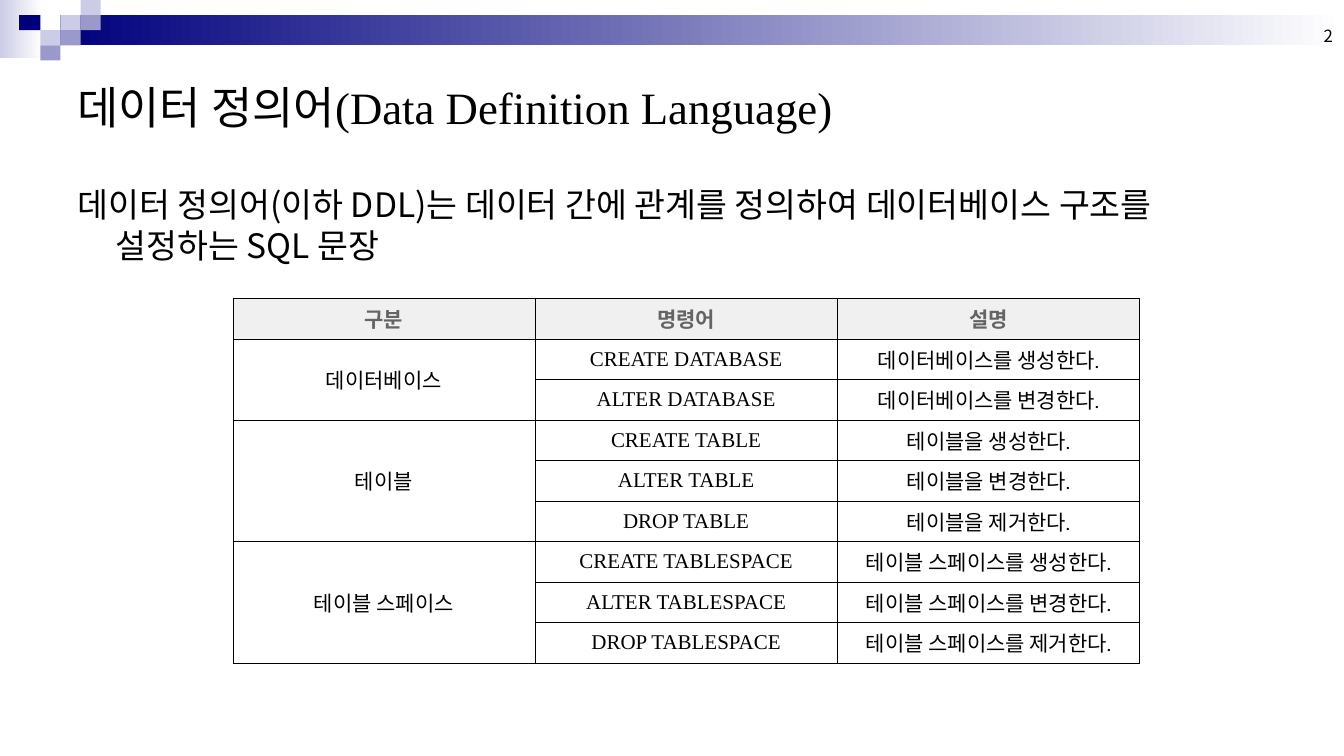
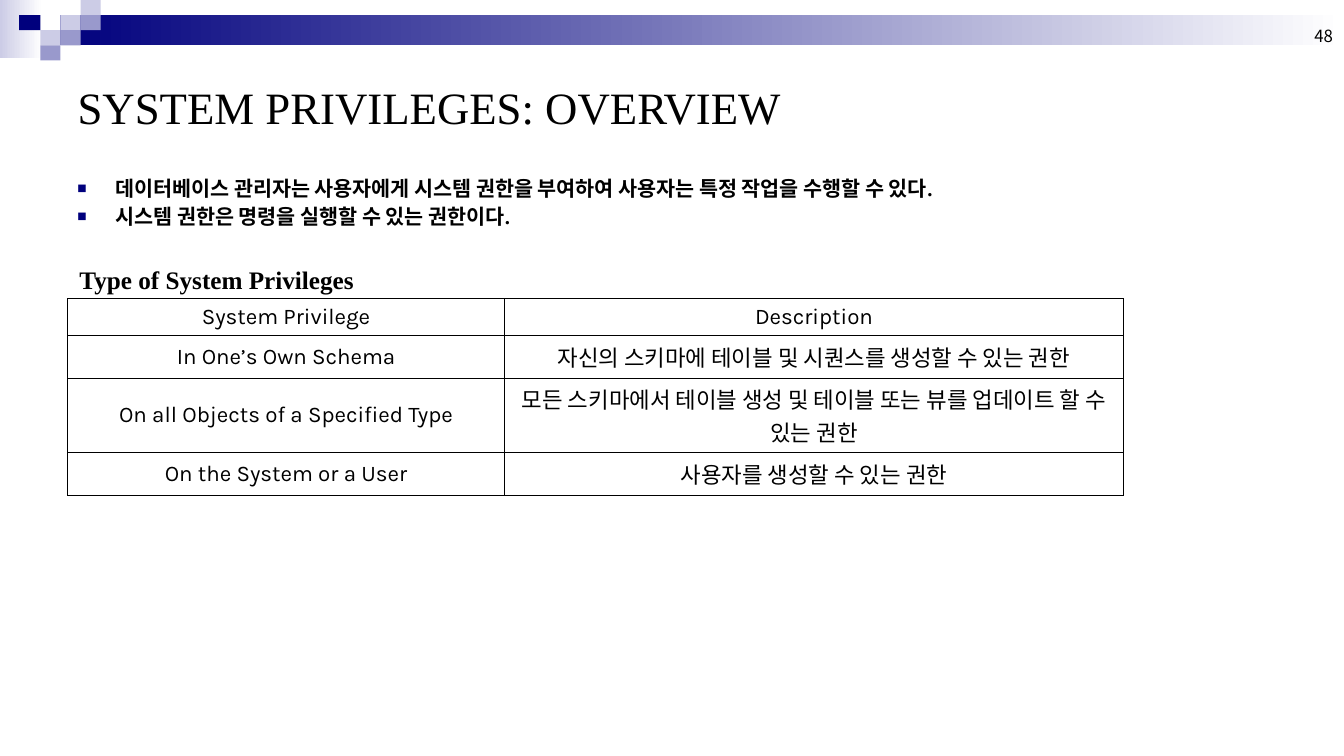
"""Build two database lecture slides: DDL commands and system privileges."""
from lxml import etree
from pptx import Presentation, util as u
from pptx.dml.color import RGBColor
from pptx.enum import shapes, text
from pptx.oxml import ns

NAVY = RGBColor(0x00, 0x00, 0x7D)
VIOLET = RGBColor(0x99, 0x99, 0xCC)
LAVENDER = RGBColor(0xCC, 0xCC, 0xE6)
WHITE = RGBColor(0xFF, 0xFF, 0xFF)
BLACK = RGBColor(0x00, 0x00, 0x00)
HEADER_TEXT = RGBColor(0x64, 0x64, 0x64)
HEADER_FILL = RGBColor(0xF0, 0xF0, 0xF0)
KOREAN, SERIF, SANS = "Noto Sans CJK KR", "Times New Roman", "Karla"
LEFT, CENTER, RIGHT = text.PP_ALIGN.LEFT, text.PP_ALIGN.CENTER, text.PP_ALIGN.RIGHT
TOP, MIDDLE, BOTTOM = text.MSO_ANCHOR.TOP, text.MSO_ANCHOR.MIDDLE, text.MSO_ANCHOR.BOTTOM


def write(frame, *lines, size, font=SERIF, color=BLACK, bold=False, align=LEFT,
          anchor=TOP, hanging=0, before=0, spacing=1.0, bullet=None):
    """Fill a text frame with one paragraph per line in a single format."""
    frame.word_wrap = True
    frame.auto_size = text.MSO_AUTO_SIZE.NONE
    frame.vertical_anchor = anchor
    for index, line in enumerate(lines):
        paragraph = frame.add_paragraph() if index else frame.paragraphs[0]
        paragraph.alignment = align
        paragraph.space_before = u.Pt(before)
        paragraph.line_spacing = spacing
        properties = paragraph._p.get_or_add_pPr()
        if hanging:
            properties.set("marL", str(u.Inches(hanging)))
            properties.set("indent", str(-u.Inches(hanging)))
        if bullet:
            tint = etree.SubElement(properties, ns.qn("a:buClr"))
            etree.SubElement(tint, ns.qn("a:srgbClr"), val=str(NAVY))
            etree.SubElement(properties, ns.qn("a:buSzPct"), val="75000")
            etree.SubElement(properties, ns.qn("a:buFont"), typeface=SERIF)
            etree.SubElement(properties, ns.qn("a:buChar"), char=bullet)
        run = paragraph.add_run()
        run.text = line
        run.font.size, run.font.name, run.font.bold = u.Pt(size), font, bold
        run.font.color.rgb = color
        etree.SubElement(run._r.get_or_add_rPr(), ns.qn("a:ea"), typeface=KOREAN)


def add_grid(slide, left, top, widths, heights, border, margin):
    """Add an unfilled table with thin black borders and return it."""
    grid = slide.shapes.add_table(
        len(heights), len(widths), u.Inches(left), u.Inches(top),
        u.Inches(sum(widths)), u.Inches(sum(heights))).table
    grid.first_row = grid.horz_banding = False
    for column, width in zip(grid.columns, widths):
        column.width = u.Inches(width)
    for row, height in zip(grid.rows, heights):
        row.height = u.Inches(height)
    for cell in grid.iter_cells():
        cell.margin_left = cell.margin_right = u.Inches(margin)
        cell.vertical_anchor = MIDDLE
        for side in ("lnL", "lnR", "lnT", "lnB"):
            line = etree.SubElement(cell._tc.get_or_add_tcPr(), ns.qn(f"a:{side}"),
                                    w=str(u.Pt(border)))
            paint = etree.SubElement(line, ns.qn("a:solidFill"))
            etree.SubElement(paint, ns.qn("a:srgbClr"), val=str(BLACK))
        cell.fill.background()
    return grid


deck = Presentation()
deck.slide_width, deck.slide_height = u.Inches(13.34), u.Inches(7.5)
layout = deck.slide_layouts[5]
for holder in list(layout.placeholders):
    if holder.placeholder_format.type != shapes.PP_PLACEHOLDER.TITLE:
        holder.element.getparent().remove(holder.element)

pages = []
for title, number in (("데이터 정의어(Data Definition Language)", "2"),
                      ("SYSTEM PRIVILEGES: OVERVIEW", "48")):
    page = deck.slides.add_slide(layout)
    heading = page.shapes.title
    heading.left, heading.top = u.Inches(0.67), u.Inches(0.5)
    heading.width, heading.height = u.Inches(12), u.Inches(1.12)
    write(heading.text_frame, title, size=32, anchor=MIDDLE)
    number_box = page.shapes.add_textbox(u.Inches(10.22), 0, u.Inches(3.11), u.Inches(0.5))
    write(number_box.text_frame, number, size=12, font=KOREAN, align=RIGHT, anchor=BOTTOM)
    pages.append(page)
ddl, privileges = pages

band = [
    (0, 0, 0.42, 0.58, LAVENDER, True),
    (0.6, 0.15, 12.73, 0.3, NAVY, True),
    (0.6, 0.15, 0.2, 0.15, LAVENDER, False),
    (0.8, 0, 0.2, 0.15, LAVENDER, False),
    (0.8, 0.15, 0.2, 0.15, VIOLET, False),
    (0.4, 0.3, 0.2, 0.15, LAVENDER, False),
    (0.19, 0.15, 0.21, 0.15, NAVY, False),
    (0.6, 0.3, 0.2, 0.15, VIOLET, False),
    (0.4, 0.45, 0.2, 0.15, VIOLET, False),
]
for left, top, width, height, color, fades in band:
    tile = ddl.shapes.add_shape(shapes.MSO_SHAPE.RECTANGLE, u.Inches(left), u.Inches(top),
                                u.Inches(width), u.Inches(height))
    tile.shadow.inherit = False
    tile.line.fill.background()
    if fades:
        tile.fill.gradient()
        tile.fill.gradient_angle = 0
        for stop, shade, position in zip(tile.fill.gradient_stops, (color, WHITE), (0, 1)):
            stop.color.rgb, stop.position = shade, position
    else:
        tile.fill.solid()
        tile.fill.fore_color.rgb = color
    layout.shapes.element.append(tile.element)

definition = ddl.shapes.add_textbox(u.Inches(0.67), u.Inches(1.78), u.Inches(12), u.Inches(1.02))
write(definition.text_frame,
      "데이터 정의어(이하 DDL)는 데이터 간에 관계를 정의하여 데이터베이스 구조를 설정하는 SQL 문장",
      size=24, font=KOREAN, hanging=0.38, before=6)

commands = add_grid(ddl, 2.31, 2.96, [3] * 3, [0.4] * 9, border=0.34, margin=0.04)
for column, label in enumerate(("구분", "명령어", "설명")):
    cell = commands.cell(0, column)
    cell.fill.solid()
    cell.fill.fore_color.rgb = HEADER_FILL
    write(cell.text_frame, label, size=15, font=SANS, color=HEADER_TEXT, bold=True,
          align=CENTER, anchor=MIDDLE)

actions = {"CREATE": "생성", "ALTER": "변경", "DROP": "제거"}
targets = [
    ("데이터베이스", "를", "DATABASE", ("CREATE", "ALTER")),
    ("테이블", "을", "TABLE", ("CREATE", "ALTER", "DROP")),
    ("테이블 스페이스", "를", "TABLESPACE", ("CREATE", "ALTER", "DROP")),
]
row = 1
for target, particle, keyword, verbs in targets:
    category = commands.cell(row, 0)
    category.merge(commands.cell(row + len(verbs) - 1, 0))
    write(category.text_frame, target, size=15, font=SANS, align=CENTER, anchor=MIDDLE)
    for verb in verbs:
        write(commands.cell(row, 1).text_frame, f"{verb} {keyword}",
              size=15, align=CENTER, anchor=MIDDLE)
        write(commands.cell(row, 2).text_frame, f"{target}{particle} {actions[verb]}한다.",
              size=15, font=SANS, align=CENTER, anchor=MIDDLE)
        row += 1

overview = privileges.shapes.add_textbox(u.Inches(0.67), u.Inches(1.72),
                                         u.Inches(10.25), u.Inches(0.67))
write(overview.text_frame,
      "데이터베이스 관리자는 사용자에게 시스템 권한을 부여하여 사용자는 특정 작업을 수행할 수 있다.",
      "시스템 권한은 명령을 실행할 수 있는 권한이다.",
      size=14.8, bold=True, hanging=0.38, before=4, spacing=0.9, bullet="■")
caption = privileges.shapes.add_textbox(u.Inches(0.69), u.Inches(2.57),
                                        u.Inches(8.92), u.Inches(0.55))
write(caption.text_frame, "Type of System Privileges",
      size=18, bold=True, hanging=0.38, before=4.5)

privilege_rows = [
    ("System Privilege", "Description"),
    ("In One’s Own Schema", "자신의 스키마에 테이블 및 시퀀스를 생성할 수 있는 권한"),
    ("On all Objects of a Specified Type",
     "모든 스키마에서 테이블 생성 및 테이블 또는 뷰를 업데이트 할 수 있는 권한"),
    ("On the System or a User", "사용자를 생성할 수 있는 권한"),
]
privilege_types = add_grid(privileges, 0.67, 2.96, [4.34, 6.14], [0.37, 0.37, 0.64, 0.37],
                           border=0.45, margin=0.1)
for row, entries in enumerate(privilege_rows):
    for column, entry in enumerate(entries):
        write(privilege_types.cell(row, column).text_frame, entry,
              size=16, font=SANS, align=CENTER, anchor=MIDDLE)

deck.save("out.pptx")
